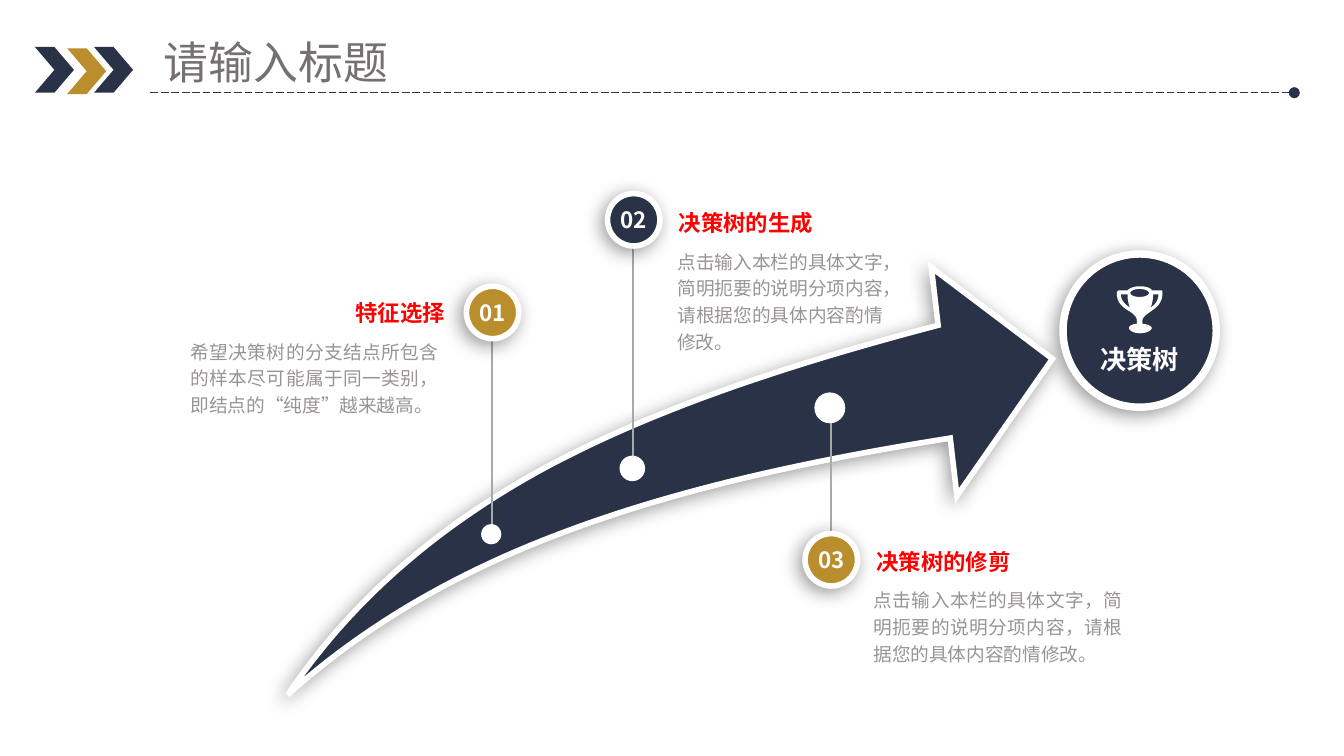
from lxml import etree
from pptx import Presentation
from pptx import util as u
from pptx.dml.color import RGBColor
from pptx.enum import dml, lang, shapes, text
from pptx.oxml import parse_xml
from pptx.oxml.ns import nsdecls, qn

PX = 9144  # 100 px to the inch
NAVY, GOLD, WHITE, GREY = "293247", "BA8D2D", "FFFFFF", "A6AAA9"
FONT = "Noto Sans CJK SC"
LEFT, CENTER, RIGHT, JUSTIFY = (
    text.PP_ALIGN.LEFT, text.PP_ALIGN.CENTER, text.PP_ALIGN.RIGHT, text.PP_ALIGN.JUSTIFY)
TOP, MIDDLE = text.MSO_ANCHOR.TOP, text.MSO_ANCHOR.MIDDLE

HEADING = {"size": 12, "bold": True, "color": "FF0000", "spacing": 0.9, "anchor": MIDDLE}
BODY = {"size": 10, "bold": False, "color": "999494", "spacing": 1.2, "anchor": TOP}
NUMBER = {"size": 12, "bold": True, "color": "FCFCFC", "spacing": u.Pt(14), "anchor": MIDDLE}
GOAL = {"size": 14, "bold": True, "color": WHITE, "spacing": 0.9, "anchor": MIDDLE}
TITLE = {"size": 24, "bold": False, "color": "767171", "spacing": 1.0, "anchor": TOP}


def paint(shape, fill, border=0):
    """Fill a shape; a border in points is white and comes with a soft shadow."""
    shape.shadow.inherit = False
    shape.fill.solid()
    shape.fill.fore_color.rgb = RGBColor.from_string(fill)
    if not border:
        shape.line.fill.background()
        return
    shape.line.color.rgb = RGBColor.from_string(WHITE)
    shape.line.width = u.Pt(border)
    join = etree.SubElement(shape.line._get_or_add_ln(), qn("a:miter"))
    join.set("lim", "800000")
    shape._element.spPr.find(qn("a:effectLst")).append(parse_xml(
        f'<a:outerShdw {nsdecls("a")} blurRad="127000" dist="38100" dir="8100000" '
        'algn="ctr" rotWithShape="0"><a:srgbClr val="000000"><a:alpha val="40000"/>'
        '</a:srgbClr></a:outerShdw>'))


def write(shape, words, style, align, margin=0, before=10, wrap=True):
    frame = shape.text_frame
    frame_format = {"word_wrap": wrap, "vertical_anchor": style["anchor"]}
    if not margin:
        frame_format.update(margin_left=0, margin_top=0, margin_right=0, margin_bottom=0)
    paragraph = frame.paragraphs[0]
    run = paragraph.add_run()
    run.text = words
    formats = (
        (frame, frame_format),
        (paragraph, {"alignment": align, "line_spacing": style["spacing"],
                     "space_before": u.Pt(before)}),
        (run.font, {"size": u.Pt(style["size"]), "bold": style["bold"], "name": FONT,
                    "language_id": lang.MSO_LANGUAGE_ID.SIMPLIFIED_CHINESE}),
    )
    for target, values in formats:
        for name, value in values.items():
            setattr(target, name, value)
    run.font.color.rgb = RGBColor.from_string(style["color"])
    etree.SubElement(run.font._element, qn("a:ea")).set("typeface", FONT)


presentation = Presentation()
presentation.slide_width, presentation.slide_height = 1000 * PX, 1000 * PX * 9 // 16
slide = presentation.slides.add_slide(presentation.slide_layouts[5])
objects = slide.shapes

# Goal circle
goal = objects.add_shape(shapes.MSO_SHAPE.OVAL, 791 * PX, 189 * PX, 114 * PX, 114 * PX)
paint(goal, NAVY, 4)

# Outlines: each contour is a list of points (2 numbers) and Bézier curves (6 numbers)
arrow = [[
    (214, 517), (260, 449, 321, 395, 400, 351), (480, 307, 580, 273, 698, 242),
    (693, 199), (783, 267), (712, 369), (707, 326),
    (600, 343, 506, 364, 425, 394), (343, 424, 273, 464, 214, 517)]]
trophy = [
    [(834, 219), (839, 219), (839, 224, 840, 227, 841, 229), (838, 227, 834, 224, 834, 219)],
    [(848, 215), (853, 215, 855, 217, 855, 218), (855, 219, 853, 221, 848, 221),
     (843, 221, 841, 219, 841, 218), (841, 217, 843, 215, 848, 215)],
    [(856, 229), (857, 227, 858, 224, 858, 219), (862, 219), (862, 224, 859, 227, 856, 229)],
    [(850, 239), (850, 236, 853, 234, 856, 232), (860, 229, 865, 226, 865, 218),
     (865, 217, 865, 216, 864, 216), (857, 216), (857, 215, 854, 213, 848, 213),
     (843, 213, 840, 215, 839, 216), (833, 216), (832, 216, 831, 217, 831, 218),
     (831, 226, 836, 229, 841, 232), (844, 234, 846, 236, 846, 239), (846, 241),
     (842, 241, 840, 243, 840, 244), (840, 246, 844, 248, 848, 248),
     (853, 248, 857, 246, 857, 244), (857, 243, 854, 241, 850, 241)],
]
for contours, fill, border, steps in ((arrow, NAVY, 3, 24), (trophy, WHITE, 0, 8)):
    builder = None
    for contour in contours:
        points = [contour[0]]
        for segment in contour[1:]:
            if len(segment) == 2:
                points.append(segment)
                continue
            controls = [points[-1], segment[:2], segment[2:4], segment[4:]]
            for step in range(1, steps + 1):
                t = step / steps
                weights = ((1 - t) ** 3, 3 * t * (1 - t) ** 2, 3 * t * t * (1 - t), t ** 3)
                points.append(tuple(
                    sum(w * c[axis] for w, c in zip(weights, controls)) for axis in (0, 1)))
        points = [(round(x * PX), round(y * PX)) for x, y in points]
        if builder is None:
            builder = objects.build_freeform(*points[0], scale=1.0)
        else:
            builder.move_to(*points[0])
        builder.add_line_segments(points[1:], close=True)
    paint(builder.convert_to_shape(), fill, border)

caption = objects.add_textbox(806 * PX, 252 * PX, 84 * PX, 34 * PX)
write(caption, "决策树", GOAL, CENTER)

# Steps: centre x, badge y, dot y, dot size, colour, heading box, body box, words
detail = "点击输入本栏的具体文字，简明扼要的说明分项内容，请根据您的具体内容酌情修改。"
steps = [
    (366, 232, 397, 15, GOLD, (146, 217, 185, 34), (142, 250, 184, 61), RIGHT,
     "特征选择", "希望决策树的分支结点所包含的样本尽可能属于同一类别，即结点的“纯度”越来越高。"),
    (471, 163, 348, 19, NAVY, (505, 150, 152, 34), (504, 183, 153, 51), LEFT,
     "决策树的生成", detail),
    (618, 416, 303, 23, GOLD, (652, 402, 152, 34), (650, 435, 185, 51), LEFT,
     "决策树的修剪", detail),
]
lines = []
for number, step in enumerate(steps, 1):
    x, badge_y, dot_y, size, color, heading_box, body_box, align, heading, body = step
    stem = objects.add_connector(
        shapes.MSO_CONNECTOR.STRAIGHT, x * PX, dot_y * PX, x * PX, badge_y * PX)
    lines.append((stem, GREY, 1))
    badge = objects.add_shape(
        shapes.MSO_SHAPE.OVAL, (x - 19) * PX, (badge_y - 19) * PX, 39 * PX, 39 * PX)
    paint(badge, color, 3)
    dot = objects.add_shape(
        shapes.MSO_SHAPE.OVAL, (x - size // 2 - 1) * PX, (dot_y - size // 2) * PX,
        size * PX, size * PX)
    paint(dot, WHITE)
    number_box = (x - 10, badge_y - 12, 21, 25)
    for box, words, style, alignment in (
            (heading_box, heading, HEADING, align),
            (body_box, body, BODY, JUSTIFY),
            (number_box, f"{number:02}", NUMBER, CENTER)):
        write(objects.add_textbox(*(v * PX for v in box)), words, style, alignment)

# Header
for left, top, color in ((50, 36, GOLD), (70, 35, NAVY), (26, 35, NAVY)):
    chevron = objects.add_shape(
        shapes.MSO_SHAPE.CHEVRON, left * PX, top * PX, 29 * PX, 34 * PX)
    paint(chevron, color)

rule = objects.add_connector(
    shapes.MSO_CONNECTOR.STRAIGHT, 112 * PX, 69 * PX, 963 * PX, 69 * PX)
lines.append((rule, NAVY, 0.5))
for connector, color, weight in lines:
    connector.line.color.rgb = RGBColor.from_string(color)
    connector.line.width = u.Pt(weight)
    etree.SubElement(connector._element.spPr, qn("a:effectLst"))
rule.line.dash_style = dml.MSO_LINE.LONG_DASH
etree.SubElement(rule.line._get_or_add_ln(), qn("a:tailEnd")).set("type", "oval")

title = objects.title
title_format = {"left": 112 * PX, "top": 21 * PX, "width": 187 * PX, "height": 50 * PX}
for name, value in title_format.items():
    setattr(title, name, value)
write(title, "请输入标题", TITLE, LEFT, margin=1, before=0, wrap=False)
title.text_frame.auto_size = text.MSO_AUTO_SIZE.SHAPE_TO_FIT_TEXT

presentation.save("out.pptx")
